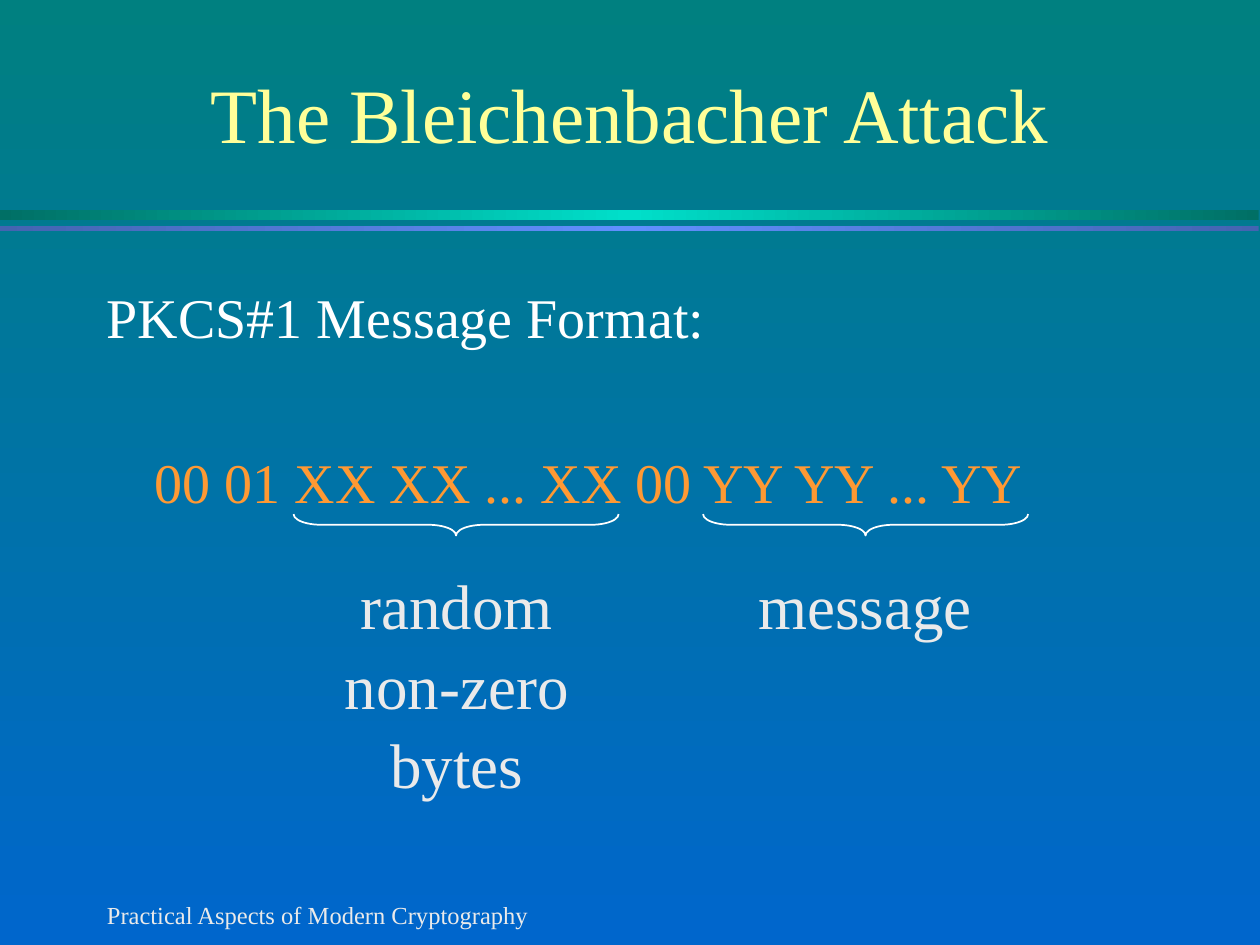
from copy import deepcopy
from dataclasses import dataclass

from pptx import Presentation
from pptx.dml.color import RGBColor
from pptx.enum.shapes import MSO_SHAPE
from pptx.enum.text import MSO_ANCHOR, PP_ALIGN
from pptx.oxml.ns import qn
from pptx.util import Inches, Pt

RECTANGLE = MSO_SHAPE.RECTANGLE
LEFT_BRACE = MSO_SHAPE.LEFT_BRACE
LEFT, CENTER = PP_ALIGN.LEFT, PP_ALIGN.CENTER
TOP, MIDDLE = MSO_ANCHOR.TOP, MSO_ANCHOR.MIDDLE

WIDTH, HEIGHT = 10, 7.5
MARGIN = 0.75
CONTENT_WIDTH = WIDTH - 2 * MARGIN
BRACE_TOP, BRACE_SPAN, BRACE_DEPTH = 4.08, 2.58, 0.17
CAPTION_TOP = 4.42


@dataclass(frozen=True)
class Theme:
    """Colours, font and type sizes of the slide."""
    font: str = "Times New Roman"
    backdrop: tuple = ("008080", "0066CC")
    teal_rule: tuple = ("006F65", "00DFCA", "006F65")
    blue_rule: tuple = ("4464B1", "618FFD", "4464B1")
    title: str = "FFFF99"
    body: str = "FFFFFF"
    formula: str = "FF9933"
    caption: str = "EAEAEA"
    title_size: int = 44
    body_size: int = 32
    caption_size: int = 36
    footer_size: int = 14
    line_spacing: float = 1.05


THEME = Theme()


def fill_gradient(fill, owner, colors, angle):
    """Fill with evenly spaced colour stops."""
    fill.gradient()
    fill.gradient_angle = angle
    stop_list = next(owner.iter(qn("a:gsLst")))
    for _ in colors[2:]:
        stop_list.append(deepcopy(stop_list[-1]))
    for index, (stop, color) in enumerate(zip(fill.gradient_stops, colors)):
        stop.position = index / (len(colors) - 1)
        stop.color.rgb = RGBColor.from_string(color)


def add_rule(slide, top, thickness, colors):
    """Add a glowing band across the slide."""
    rule = slide.shapes.add_shape(
        RECTANGLE, 0, Inches(top), Inches(WIDTH - 0.01), Inches(thickness))
    rule.shadow.inherit = False
    rule.line.fill.background()
    fill_gradient(rule.fill, rule._element, colors, 0)


def add_text(slide, box, text, size, color, align=LEFT, anchor=TOP):
    """Add a wrapped text box and return its frame."""
    frame = slide.shapes.add_textbox(*map(Inches, box)).text_frame
    frame.word_wrap = True
    frame.vertical_anchor = anchor
    frame.text = text
    for paragraph in frame.paragraphs:
        style_paragraph(paragraph, size, color, align)
    return frame


def style_paragraph(paragraph, size, color, align=LEFT):
    """Apply alignment, spacing and type to a paragraph."""
    paragraph.alignment = align
    paragraph.line_spacing = THEME.line_spacing
    for run in paragraph.runs:
        run.font.name = THEME.font
        run.font.size = Pt(size)
        run.font.color.rgb = RGBColor.from_string(color)


def add_message_format(slide):
    """Add the heading and the indented byte layout."""
    frame = add_text(slide, (MARGIN, 2.17, CONTENT_WIDTH, 4.5),
                     "PKCS#1 Message Format:", THEME.body_size, THEME.body)
    formula = frame.add_paragraph()
    formula.text = "00 01 XX XX ... XX 00 YY YY ... YY"
    formula._p.get_or_add_pPr().set("marL", str(Inches(0.38)))
    formula.space_before = Pt(54)
    style_paragraph(formula, THEME.body_size, THEME.formula)


def add_brace(slide, left):
    """Add a brace that points down from a group of bytes."""
    shift = (BRACE_SPAN - BRACE_DEPTH) / 2
    brace = slide.shapes.add_shape(
        LEFT_BRACE, Inches(left + shift), Inches(BRACE_TOP - shift),
        Inches(BRACE_DEPTH), Inches(BRACE_SPAN))
    brace.rotation = 270
    brace.adjustments[0] = 1.29
    brace.shadow.inherit = False
    brace.fill.background()
    brace.line.color.rgb = RGBColor.from_string(THEME.body)
    brace.line.width = Pt(1)


def main():
    """Build and save the slide."""
    deck = Presentation()
    deck.slide_width, deck.slide_height = Inches(WIDTH), Inches(HEIGHT)
    slide = deck.slides.add_slide(deck.slide_layouts[6])
    fill_gradient(slide.background.fill, slide._element, THEME.backdrop, 270)

    add_rule(slide, 1.67, 0.08, THEME.teal_rule)
    add_rule(slide, 1.79, 0.04, THEME.blue_rule)
    add_text(slide, (MARGIN, 7.08, 3.75, 0.25),
             "Practical Aspects of Modern Cryptography",
             THEME.footer_size, THEME.caption)
    add_text(slide, (MARGIN, 0.25, CONTENT_WIDTH, 1.25),
             "The Bleichenbacher Attack",
             THEME.title_size, THEME.title, CENTER, MIDDLE)
    add_message_format(slide)

    for brace_left, left, width, height, caption, align in (
            (2.33, 2.5, 2.25, 1.9, "random\nnon-zero\nbytes", CENTER),
            (5.58, 5.92, 1.92, 0.7, "message", LEFT)):
        add_brace(slide, brace_left)
        add_text(slide, (left, CAPTION_TOP, width, height), caption,
                 THEME.caption_size, THEME.caption, align)

    deck.save("out.pptx")


if __name__ == "__main__":
    main()
